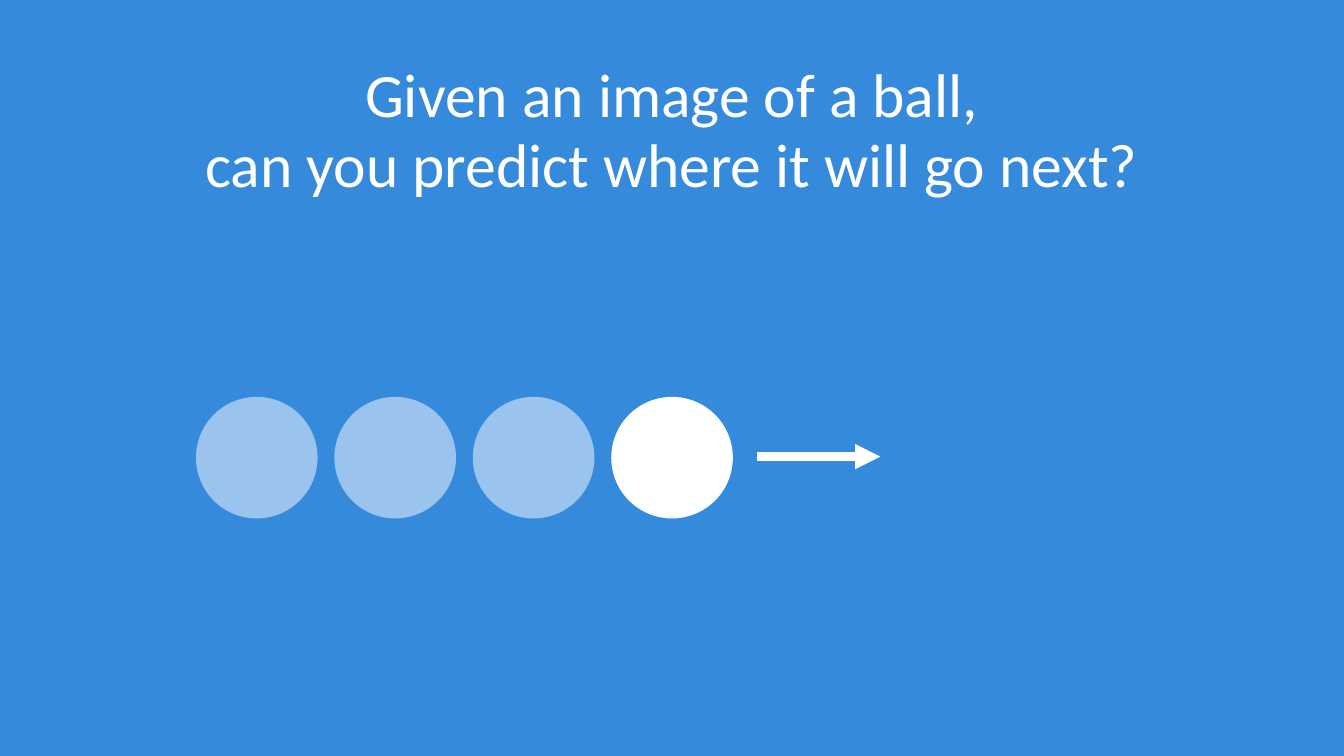
from dataclasses import dataclass

from pptx import Presentation
from pptx.dml.color import RGBColor
from pptx.enum.shapes import MSO_CONNECTOR as Connector, MSO_SHAPE as Shape
from pptx.enum.text import MSO_ANCHOR as Anchor, MSO_AUTO_SIZE as AutoSize, PP_ALIGN as Align
from pptx.oxml.ns import qn
from pptx.util import Inches, Pt
from lxml.etree import SubElement


@dataclass(frozen=True)
class Theme:
    sky: RGBColor = RGBColor(0x35, 0x8A, 0xDB)
    white: RGBColor = RGBColor(0xFF, 0xFF, 0xFF)
    font: str = "Calibri"
    title_size: float = 44
    title_leading: float = 49.9
    arrow_weight: float = 6
    trail_opacity: int = 50


class SlideBuilder:
    def __init__(self, deck, theme):
        self.deck = deck
        self.theme = theme
        self.slide = deck.slides.add_slide(deck.slide_layouts[5])
        background = self.slide.background.fill
        background.solid()
        background.fore_color.rgb = theme.sky

    def x(self, percent):
        return round(self.deck.slide_width * percent / 100)

    def y(self, percent):
        return round(self.deck.slide_height * percent / 100)

    def title(self, lines, left, top, width, height):
        heading = self.slide.shapes.title
        heading.left, heading.top = self.x(left), self.y(top)
        heading.width, heading.height = self.x(width), self.y(height)
        frame = heading.text_frame
        frame.margin_left = frame.margin_right = frame.margin_bottom = 0
        frame.margin_top = Inches(0.01)
        frame.word_wrap = True
        frame.auto_size = AutoSize.SHAPE_TO_FIT_TEXT
        frame.vertical_anchor = Anchor.MIDDLE
        frame.text = "\n".join(lines)
        for line in frame.paragraphs:
            line.alignment = Align.CENTER
            line.line_spacing = Pt(self.theme.title_leading)
            for run in line.runs:
                run.font.name = self.theme.font
                run.font.size = Pt(self.theme.title_size)
                run.font.color.rgb = self.theme.white
        frame.paragraphs[0].space_before = Pt(1)

    def ball(self, left, top, diameter, opacity=100):
        side = self.x(diameter)
        ball = self.slide.shapes.add_shape(Shape.OVAL, self.x(left), self.y(top), side, side)
        ball.shadow.inherit = False
        ball.line.fill.background()
        ball.fill.solid()
        ball.fill.fore_color.rgb = self.theme.white
        if opacity < 100:
            color = ball.fill._xPr.find(qn("a:solidFill"))[0]
            SubElement(color, qn("a:alpha"), val=str(opacity * 1000))

    def arrow(self, start, end, level):
        arrow = self.slide.shapes.add_connector(
            Connector.STRAIGHT, self.x(start), self.y(level), self.x(end), self.y(level))
        arrow.line.width = Pt(self.theme.arrow_weight)
        arrow.line.color.rgb = self.theme.white
        SubElement(arrow.line._get_or_add_ln(), qn("a:tailEnd"), type="triangle", w="med", len="med")
        SubElement(arrow._element.spPr, qn("a:effectLst"))


def main():
    deck = Presentation()
    deck.slide_width, deck.slide_height = Inches(13.33), Inches(7.5)
    theme = Theme()
    builder = SlideBuilder(deck, theme)
    builder.title(
        ["Given an image of a ball,", "can you predict where it will go next?"],
        left=15, top=7.73, width=70, height=18.8)

    first_ball, pitch, diameter, ball_count = 14.58, 10.3, 9.05, 4
    for step in range(ball_count):
        is_current = step == ball_count - 1
        builder.ball(first_ball + step * pitch, 52.5, diameter,
                     100 if is_current else theme.trail_opacity)
    builder.arrow(start=56.33, end=65.5, level=60.4)
    deck.save("out.pptx")


if __name__ == "__main__":
    main()
